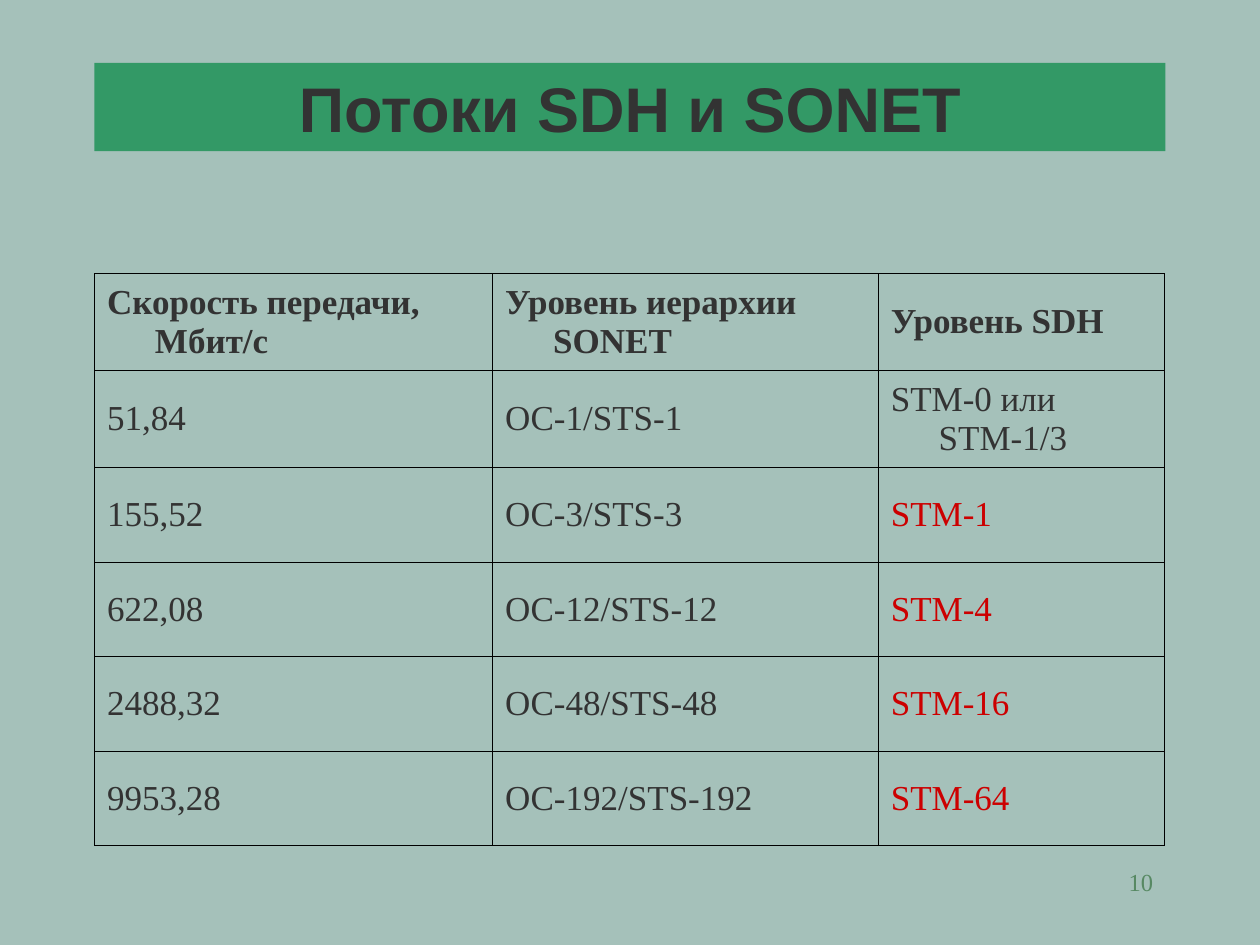
import pptx
import pptx.util
import pptx.dml.color
import pptx.enum.shapes
import pptx.enum.text
import pptx.oxml
import pptx.oxml.ns
from pptx.util import Inches

BACKGROUND = pptx.dml.color.RGBColor(0xA5, 0xC1, 0xBA)
BANNER = pptx.dml.color.RGBColor(0x33, 0x99, 0x66)
INK = pptx.dml.color.RGBColor(0x33, 0x33, 0x33)
RED = pptx.dml.color.RGBColor(0xCC, 0x00, 0x00)
NUMBER_GREEN = pptx.dml.color.RGBColor(0x57, 0x89, 0x63)

COLUMN_WIDTHS = (3.16, 3.06, 2.27)
ROW_HEIGHTS = (0.77, 0.77, 0.75, 0.75, 0.75, 0.75)
STREAMS = (
    ("Скорость передачи, Мбит/c", "Уровень иерархии SONET", "Уровень SDH"),
    ("51,84", "OC-1/STS-1", "STM-0 или STM-1/3"),
    ("155,52", "OC-3/STS-3", "STM-1"),
    ("622,08", "OC-12/STS-12", "STM-4"),
    ("2488,32", "OC-48/STS-48", "STM-16"),
    ("9953,28", "ОC-192/STS-192", "STM-64"),
)


def write_text(text_frame, text, size, color, font="Times New Roman", bold=False,
               alignment=pptx.enum.text.PP_ALIGN.LEFT):
    text_frame.word_wrap = True
    paragraph = text_frame.paragraphs[0]
    paragraph.alignment = alignment
    run = paragraph.add_run()
    run.text = text
    run.font.name = font
    run.font.size = pptx.util.Pt(size)
    run.font.bold = bold
    run.font.color.rgb = color
    return paragraph


def add_title(slide, left, top, width, height):
    banner = slide.shapes.add_shape(
        pptx.enum.shapes.MSO_SHAPE.RECTANGLE, left, top, width, height)
    banner.shadow.inherit = False
    banner.fill.solid()
    banner.fill.fore_color.rgb = BANNER
    banner.line.fill.background()
    banner.text_frame.vertical_anchor = pptx.enum.text.MSO_ANCHOR.TOP
    write_text(banner.text_frame, "Потоки SDH и SONET", 36, INK, "Arial", True,
               pptx.enum.text.PP_ALIGN.CENTER)


def set_hanging_indent(paragraph, indent):
    properties = paragraph._p.get_or_add_pPr()
    properties.set("marL", str(indent))
    properties.set("indent", str(-indent))


def set_borders(cell):
    """Draw a thin black line on all four sides, ahead of the cell's fill."""
    properties = cell._tc.get_or_add_tcPr()
    for position, side in enumerate(("lnL", "lnR", "lnT", "lnB")):
        border = pptx.oxml.parse_xml(
            f'<a:{side} {pptx.oxml.ns.nsdecls("a")} w="{pptx.util.Pt(0.45)}">'
            '<a:solidFill><a:srgbClr val="000000"/></a:solidFill>'
            f'</a:{side}>')
        properties.insert(position, border)


def add_streams_table(slide, left, top, width, height):
    table = slide.shapes.add_table(
        len(STREAMS), len(COLUMN_WIDTHS), left, top, width, height).table
    table.horz_banding = False
    for column, column_width in zip(table.columns, COLUMN_WIDTHS):
        column.width = Inches(column_width)
    for row, row_height in zip(table.rows, ROW_HEIGHTS):
        row.height = Inches(row_height)
    for row_index, texts in enumerate(STREAMS):
        for column_index, text in enumerate(texts):
            cell = table.cell(row_index, column_index)
            cell.vertical_anchor = pptx.enum.text.MSO_ANCHOR.MIDDLE
            cell.fill.background()
            set_borders(cell)
            is_standard_level = row_index >= 2 and column_index == 2
            paragraph = write_text(cell.text_frame, text, 20,
                                   RED if is_standard_level else INK,
                                   bold=row_index == 0)
            set_hanging_indent(paragraph, Inches(0.38))


def add_slide_number(slide, left, top, width, height):
    box = slide.shapes.add_textbox(left, top, width, height)
    write_text(box.text_frame, "10", 14, NUMBER_GREEN,
               alignment=pptx.enum.text.PP_ALIGN.RIGHT)


def main():
    presentation = pptx.Presentation()
    presentation.slide_width = Inches(10)
    presentation.slide_height = Inches(7.5)
    slide = presentation.slides.add_slide(presentation.slide_layouts[6])
    slide.background.fill.solid()
    slide.background.fill.fore_color.rgb = BACKGROUND
    add_title(slide, Inches(0.75), Inches(0.5), Inches(8.5), Inches(0.7))
    add_streams_table(slide, Inches(0.75), Inches(2.17), Inches(8.5), Inches(4.53))
    add_slide_number(slide, Inches(7.17), Inches(6.83), Inches(2.08), Inches(0.5))
    presentation.save("out.pptx")


if __name__ == "__main__":
    main()
